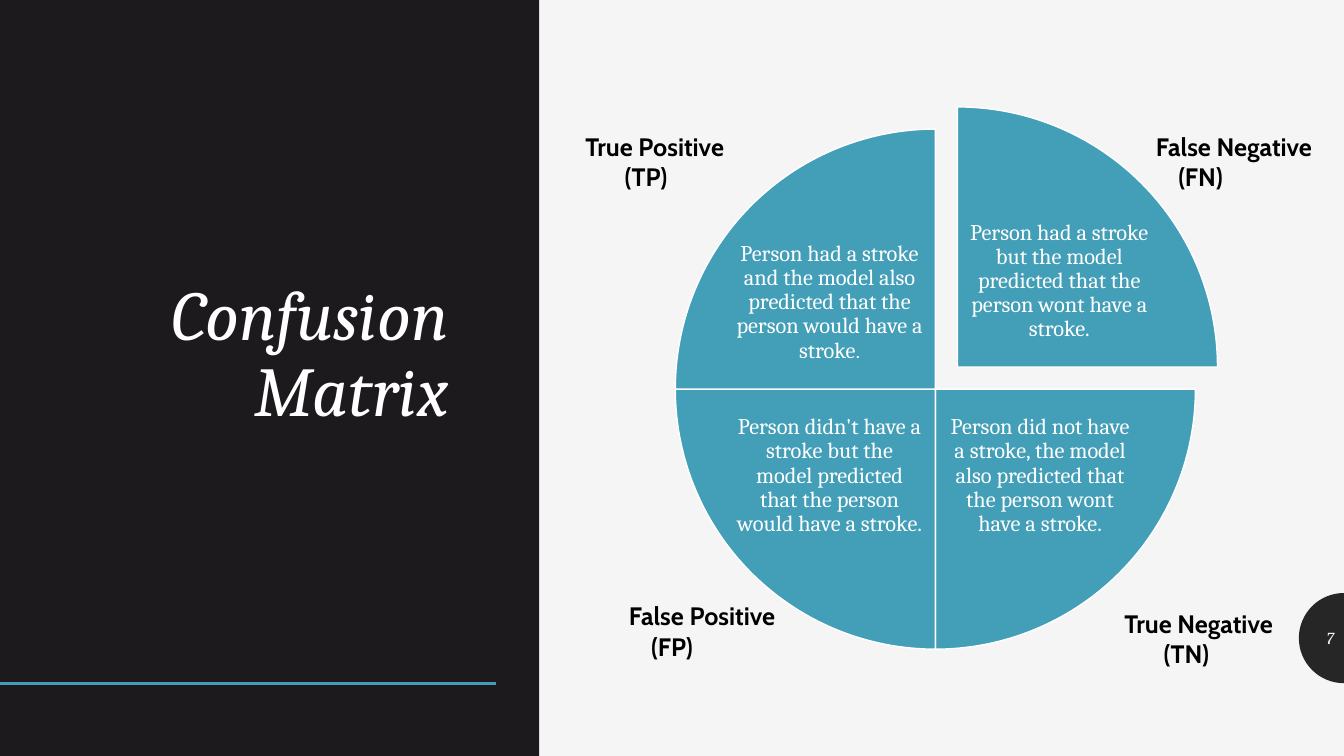
from math import cos, pi, sin
from lxml.etree import SubElement
from pptx import Presentation
from pptx.dml.color import RGBColor
from pptx.enum.shapes import MSO_CONNECTOR, MSO_SHAPE
from pptx.enum.text import MSO_ANCHOR as ANCHOR, MSO_AUTO_SIZE as AUTO, PP_ALIGN as ALIGN
from pptx.oxml.ns import qn
from pptx.util import Pt


def color(hex_code):
    return RGBColor.from_string(hex_code)


def add_run(p, text, size, font, hex_code, bold=False, italic=False):
    r = p.add_run()
    r.text = text
    r.font.size = Pt(size)
    r.font.name = font
    r.font.bold = bold
    r.font.italic = italic
    r.font.color.rgb = color(hex_code)


TEAL, DARK, LIGHT, WHITE = "439EB7", "1D1A1D", "F5F5F5", "FFFFFF"

prs = Presentation()
prs.slide_width, prs.slide_height = Pt(960), Pt(540)
s = prs.slides.add_slide(prs.slide_layouts[5])
s.background.fill.solid()
s.background.fill.fore_color.rgb = color(LIGHT)

radius, steps = 32.2, 32
angles = [pi / 2 + pi * i / steps for i in range(steps + 1)]
arc = [(Pt(960 + radius * cos(a)), Pt(455.8 + radius * sin(a))) for a in angles]
builder = s.shapes.build_freeform(*arc[0])
builder.add_line_segments(arc[1:], close=True)
badge = builder.convert_to_shape()
panel = s.shapes.add_shape(MSO_SHAPE.RECTANGLE, 0, 0, Pt(385.2), Pt(540))
for sp, fill in ((badge, "262626"), (panel, DARK)):
    sp.shadow.inherit = False
    sp.fill.solid()
    sp.fill.fore_color.rgb = color(fill)
    sp.line.fill.background()

rule = s.shapes.add_connector(MSO_CONNECTOR.STRAIGHT, 0, Pt(488.2), Pt(354.2), Pt(488.2))
rule.line.color.rgb = color(TEAL)
rule.line.width = Pt(2)
SubElement(rule.element.spPr, qn("a:effectLst"))

title = s.shapes.title
title.element.addprevious(panel.element)
title.left, title.top, title.width, title.height = Pt(25.9), Pt(134.6), Pt(301.7), Pt(177.1)
tf = title.text_frame
tf.auto_size = AUTO.NONE
tf.word_wrap = True
tf.vertical_anchor = ANCHOR.BOTTOM
p = tf.paragraphs[0]
p.alignment = ALIGN.RIGHT
p.line_spacing = 0.9
add_run(p, "Confusion Matrix", 50, "Cambria", WHITE, italic=True)

tf = s.shapes.add_textbox(Pt(928), Pt(441.4), Pt(32), Pt(28.8)).text_frame
tf.word_wrap = True
tf.vertical_anchor = ANCHOR.MIDDLE
p = tf.paragraphs[0]
p.alignment = ALIGN.RIGHT
add_run(p, "7", 12, "Cambria", LIGHT, italic=True)

pie_left, pie_top, pie_size, shift = 482.4, 92.2, 371.5, 15.8
quadrants = [
    (162, 0, shift, 688.3, 145.4, [("Person had a stroke but the model predicted that the person wont have a stroke.", "Cambria")]),
    (0, 54, 0, 674.6, 284.4, [("Person did not have a stroke, the model also predicted that the person wont have a stroke.", "Cambria")]),
    (54, 108, 0, 524.2, 284.4, [("Person didn't have a stroke but the model predicted that the person would have a stroke.", "Cambria")]),
    (108, 162, 0, 524.2, 160.6, [("Person had a stroke and the model also predicted that the person would have a stroke", "Cambria"), (".", "Cabin")]),
]
for start, end, offset, left, top, runs in quadrants:
    sp = s.shapes.add_shape(MSO_SHAPE.PIE, Pt(pie_left + offset), Pt(pie_top - offset), Pt(pie_size), Pt(pie_size))
    sp.adjustments[0], sp.adjustments[1] = start, end
    sp.shadow.inherit = False
    sp.fill.solid()
    sp.fill.fore_color.rgb = color(TEAL)
    sp.line.color.rgb = color(WHITE)
    sp.line.width = Pt(1)
    tf = s.shapes.add_textbox(Pt(left), Pt(top), Pt(136.8), Pt(110.9)).text_frame
    tf.word_wrap = True
    tf.vertical_anchor = ANCHOR.MIDDLE
    tf.margin_left = tf.margin_right = tf.margin_top = tf.margin_bottom = Pt(1.5)
    p = tf.paragraphs[0]
    p.alignment = ALIGN.CENTER
    p.line_spacing = 0.9
    for text, font in runs:
        add_run(p, text, 16, font, WHITE)

labels = [
    (411.1, 90, 138.2, [("True Positive", 0), ("(TP)", 28)]),
    (442.1, 425.5, 121.7, [("False Positive", 0), ("(FP)", 16)]),
    (818.6, 90, 141.1, [("False Negative", 0), ("(FN)", 16)]),
    (784.1, 430.6, 160.6, [("True Negative", 12), ("(TN)", 40)]),
]
for left, top, width, lines in labels:
    tf = s.shapes.add_textbox(Pt(left), Pt(top), Pt(width), Pt(51.1)).text_frame
    tf.word_wrap = True
    for i, (text, indent) in enumerate(lines):
        p = tf.add_paragraph() if i else tf.paragraphs[0]
        p._p.get_or_add_pPr().set("marL", str(Pt(indent)))
        add_run(p, text, 18, "Cabin", "000000", bold=True)

prs.save("out.pptx")
